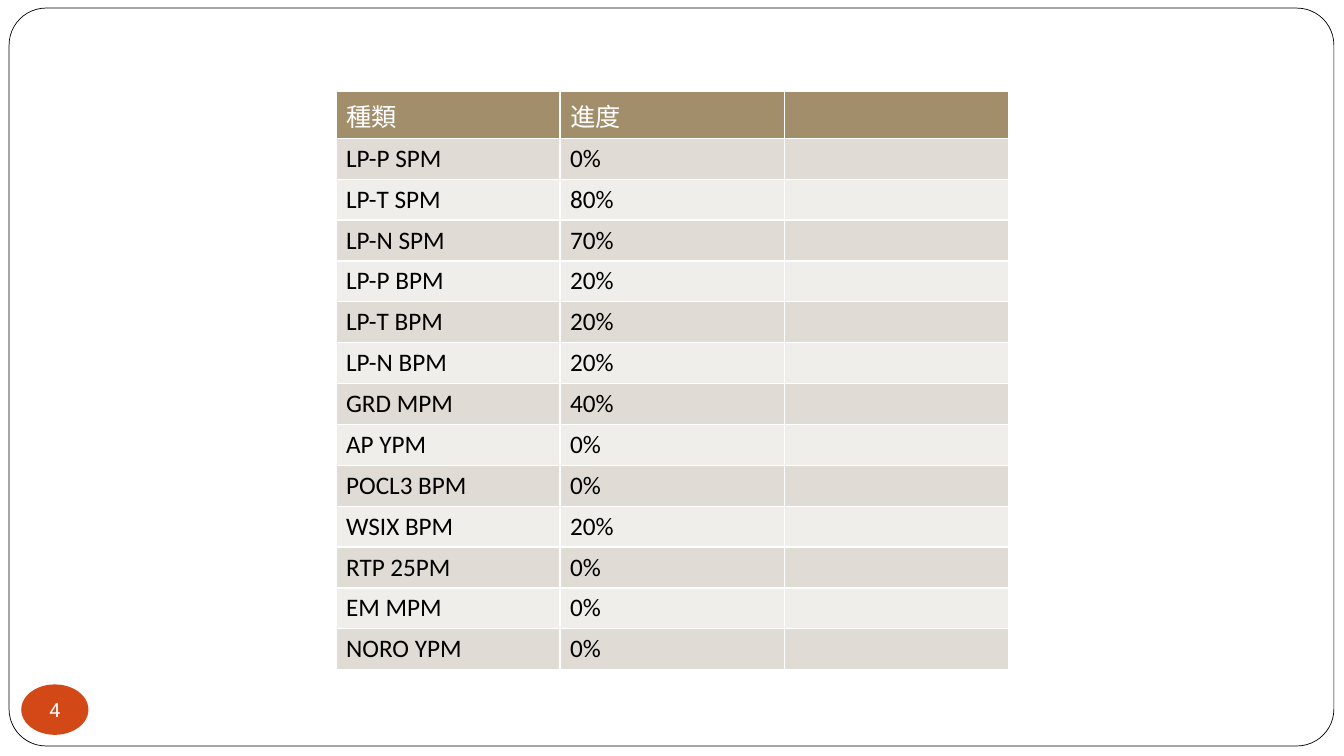
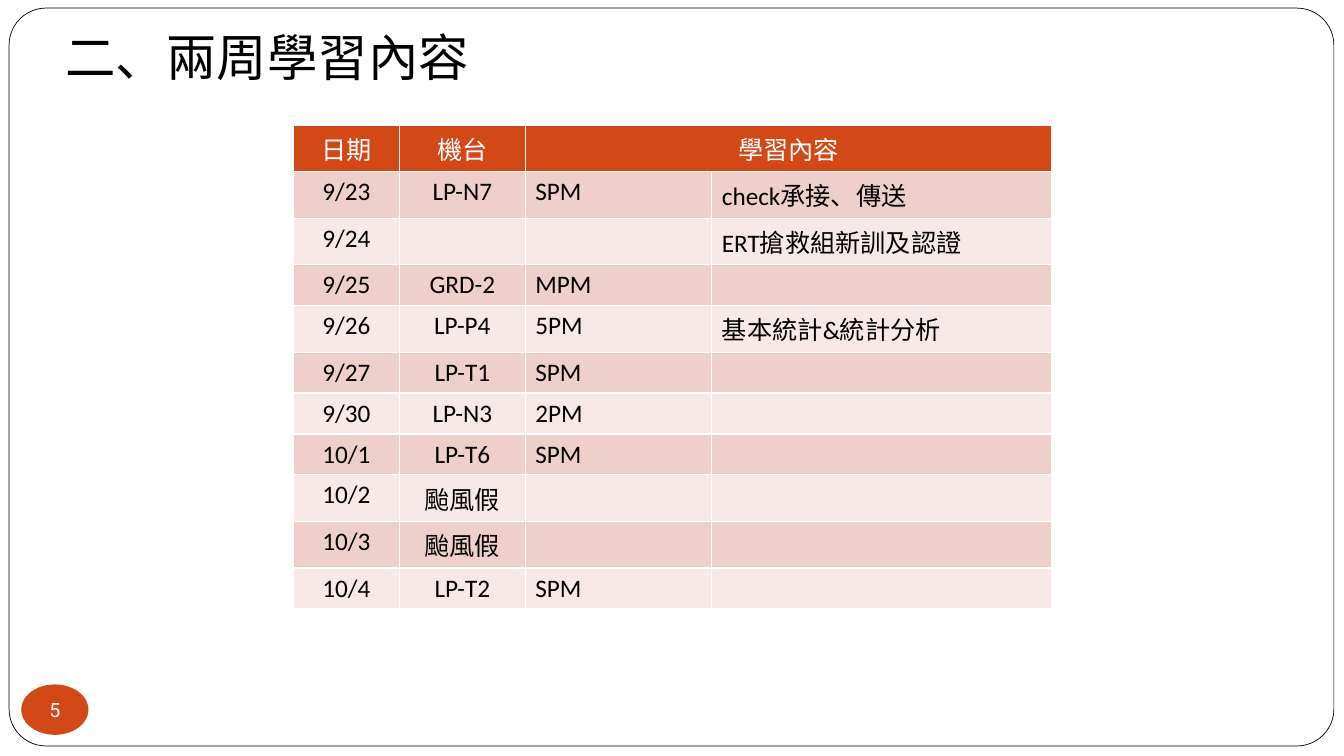
"""Build two progress slides that share a rounded frame, a page badge and a table style."""
from lxml import etree
from pptx import Presentation
from pptx.dml.color import RGBColor
from pptx.enum.shapes import MSO_SHAPE as Preset
from pptx.enum.text import MSO_ANCHOR as Anchor, MSO_AUTO_SIZE as AutoSize, PP_ALIGN as Align
from pptx.oxml.ns import qn
from pptx.util import Inches, Pt

WHITE, BLACK, ORANGE = "FFFFFF", "000000", "D34817"
BODY_FONT, BADGE_FONT = "Calibri", "Roboto"
ROW_SHARE = 5.4

presentation = Presentation()
presentation.slide_width = Inches(13.33)
presentation.slide_height = Inches(7.5)


def place(left, top, width, height):
    """Turn percentages of the slide into lengths."""
    across, down = presentation.slide_width / 100, presentation.slide_height / 100
    return int(left * across), int(top * down), int(width * across), int(height * down)


def style_text(text_frame, font_name, size, color, alignment):
    """Format every run of a text frame alike."""
    for paragraph in text_frame.paragraphs:
        paragraph.alignment = alignment
        for run in paragraph.runs:
            run.font.name = font_name
            run.font.size = Pt(size)
            run.font.bold = False
            run.font.color.rgb = RGBColor.from_string(color)


progress_rows = [
    ("種類", "進度", ""),
    ("LP-P SPM", "0%", ""),
    ("LP-T SPM", "80%", ""),
    ("LP-N SPM", "70%", ""),
    ("LP-P BPM", "20%", ""),
    ("LP-T BPM", "20%", ""),
    ("LP-N BPM", "20%", ""),
    ("GRD MPM", "40%", ""),
    ("AP YPM", "0%", ""),
    ("POCL3 BPM", "0%", ""),
    ("WSIX BPM", "20%", ""),
    ("RTP 25PM", "0%", ""),
    ("EM MPM", "0%", ""),
    ("NORO YPM", "0%", ""),
]
learning_rows = [
    ("日期", "機台", "學習內容", ""),
    ("9/23", "LP-N7", "SPM", "check承接、傳送"),
    ("9/24", "", "", "ERT搶救組新訓及認證"),
    ("9/25", "GRD-2", "MPM", ""),
    ("9/26", "LP-P4", "5PM", "基本統計&統計分析"),
    ("9/27", "LP-T1", "SPM", ""),
    ("9/30", "LP-N3", "2PM", ""),
    ("10/1", "LP-T6", "SPM", ""),
    ("10/2", "颱風假", "", ""),
    ("10/3", "颱風假", "", ""),
    ("10/4", "LP-T2", "SPM", ""),
]
pages = [
    dict(number=4, title="", rows=progress_rows, left=25, top=12.13,
         columns=[16.67] * 3, centered=0, header="A28E6A", bands=["F0EEEB", "E0DBD4"]),
    dict(number=5, title="二、兩周學習內容", rows=learning_rows, left=21.83, top=16.53,
         columns=[7.88, 9.38, 13.88, 25.28], centered=2, header=ORANGE,
         bands=["F7E9E8", "EFCFCC"]),
]

for page in pages:
    layout = presentation.slide_layouts[5 if page["title"] else 6]
    slide = presentation.slides.add_slide(layout)

    if page is pages[0]:
        frame = slide.shapes.add_shape(Preset.ROUNDED_RECTANGLE, *place(0.68, 1.07, 98.57, 97.6))
        frame.adjustments[0] = 0.05
        frame.shadow.inherit = False
        frame.fill.solid()
        frame.fill.fore_color.rgb = RGBColor.from_string(WHITE)
        frame.line.color.rgb = RGBColor.from_string(BLACK)
        frame.line.width = Pt(0.5)
        presentation.slide_master.shapes.element.insert(2, frame.element)

    badge = slide.shapes.add_shape(Preset.OVAL, *place(1.58, 90.53, 5, 6.67))
    badge.shadow.inherit = False
    badge.fill.solid()
    badge.fill.fore_color.rgb = RGBColor.from_string(ORANGE)
    badge.line.fill.background()
    label = badge.text_frame
    label.margin_left = label.margin_right = label.margin_top = label.margin_bottom = 0
    label.word_wrap = False
    label.vertical_anchor = Anchor.MIDDLE
    label.text = str(page["number"])
    style_text(label, BADGE_FONT, 14, WHITE, Align.CENTER)

    if page["title"]:
        title = slide.shapes.title
        title.left, title.top, title.width, title.height = place(4.13, 2.8, 32.63, 9.47)
        title.text_frame.text = page["title"]
        title.text_frame.auto_size = AutoSize.NONE
        title.text_frame.vertical_anchor = Anchor.TOP
        style_text(title.text_frame, BODY_FONT, 36, BLACK, Align.LEFT)

    rows, columns = page["rows"], page["columns"]
    area = place(page["left"], page["top"], sum(columns), ROW_SHARE * len(rows))
    table = slide.shapes.add_table(len(rows), len(columns), *area).table
    for column, share in zip(table.columns, columns):
        column.width = int(presentation.slide_width * share / 100)

    for row_index, row in enumerate(rows):
        is_header = row_index == 0
        fill_color = page["header"] if is_header else page["bands"][row_index % 2]
        for column_index, text in enumerate(row):
            cell = table.cell(row_index, column_index)
            cell.text_frame.text = text
            is_centered = column_index < page["centered"] or (is_header and page["centered"])
            style_text(cell.text_frame, BODY_FONT, 18, WHITE if is_header else BLACK,
                       Align.CENTER if is_centered else Align.LEFT)
            properties = cell._tc.get_or_add_tcPr()
            for side in ("a:lnL", "a:lnR", "a:lnT", "a:lnB"):
                border = etree.SubElement(properties, qn(side), w=str(Pt(1)))
                border_fill = etree.SubElement(border, qn("a:solidFill"))
                etree.SubElement(border_fill, qn("a:srgbClr"), val=WHITE)
            cell.fill.solid()
            cell.fill.fore_color.rgb = RGBColor.from_string(fill_color)

    if page["title"]:
        table.cell(0, 2).merge(table.cell(0, 3))

presentation.save("out.pptx")
